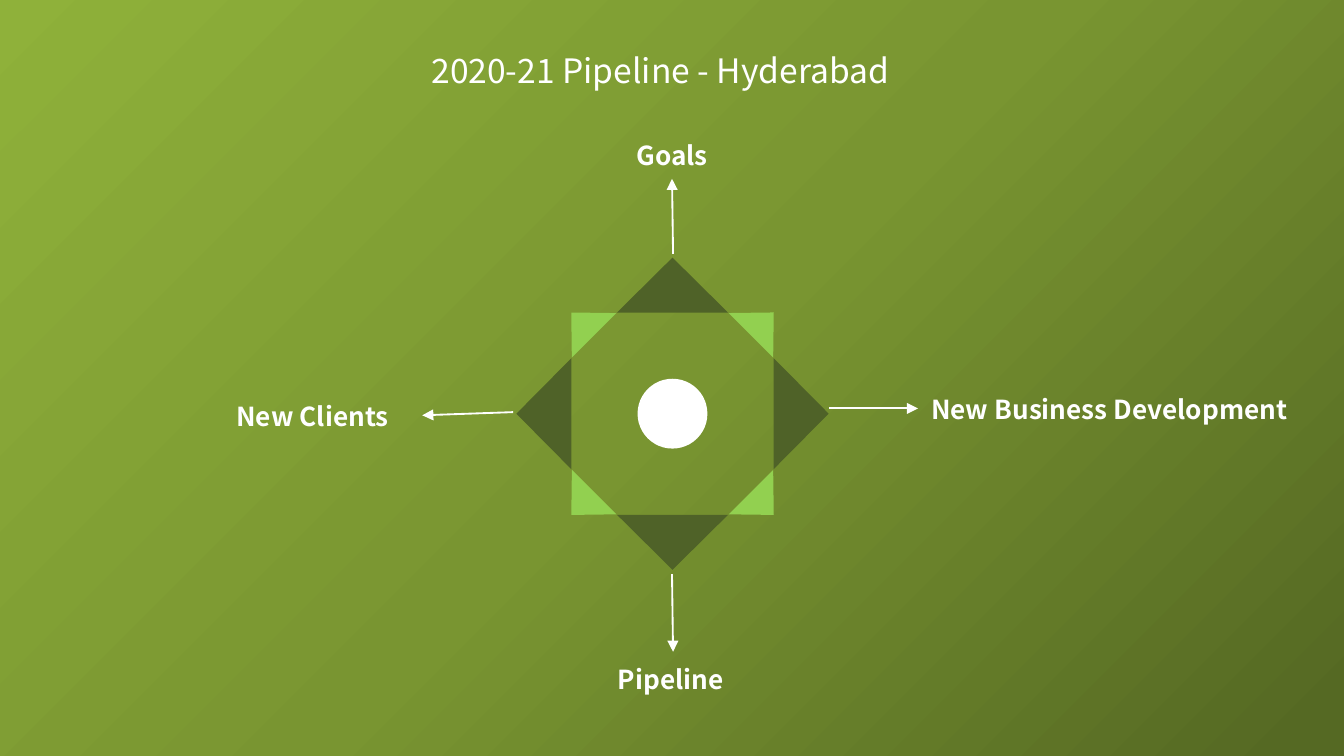
from math import cos, radians, sin

from lxml import etree
from pptx import Presentation
from pptx.dml.color import RGBColor
from pptx.enum import shapes, text
from pptx.oxml import parse_xml
from pptx.oxml.ns import qn
from pptx.util import Cm, Pt

THEME = {
    "font": "Noto Sans CJK JP", "title": 18, "label": 14, "line": 1,
    "white": "FFFFFF", "dark": "4F6228", "light": "92D050",
    "gradient": [(4, "556923"), (50, "799531"), (100, "8FB13A")],
}
ALIGN = text.PP_ALIGN
SLIDE = (25.4, 14.29)
BACKDROP = (0, 0, 25.96, 14.3)

# Lengths in cm; boxes are left, top, width, height
TITLE = ("2020-21 Pipeline - Hyderabad", (7.9, 0.81, 9.63, 1.02))
LABELS = [
    ("New Clients", (4.09, 7.44, 3.51, 0.86), ALIGN.RIGHT),
    ("New Business Development", (17.35, 7.32, 7.44, 0.86), ALIGN.LEFT),
    ("Goals", (10.95, 2.51, 3.51, 0.86), ALIGN.CENTER),
    ("Pipeline", (11.43, 12.42, 3.89, 0.86), ALIGN.LEFT),
]
ARROWS = [
    (12.72, 4.8, 12.7, 3.38),
    (9.7, 7.79, 7.98, 7.85),
    (15.67, 7.72, 17.35, 7.72),
    (12.7, 10.85, 12.72, 12.32),
]
CENTRE = (12.71, 7.82)
# colour, first angle, distance from centre, width, height
RINGS = [("dark", 0, 2.43, 2.1, 1.04), ("light", 45, 2.4, 1.19, 0.61)]
HUB = 1.32


def colour(name):
    return RGBColor.from_string(THEME[name])


def add_solid(sld, kind, centre, size, fill, rotation=0):
    """Add a borderless shape placed by its centre."""
    (x, y), (w, h) = centre, size
    sp = sld.shapes.add_shape(kind, Cm(x - w / 2), Cm(y - h / 2), Cm(w), Cm(h))
    sp.fill.solid()
    sp.fill.fore_color.rgb = colour(fill)
    sp.line.fill.background()
    sp.shadow.inherit = False
    sp.rotation = rotation


def write(sp, words, size, bold=False, align=ALIGN.LEFT):
    tf = sp.text_frame
    frame = {"word_wrap": True, "auto_size": text.MSO_AUTO_SIZE.NONE,
             "vertical_anchor": text.MSO_ANCHOR.TOP}
    for key, value in frame.items():
        setattr(tf, key, value)
    p = tf.paragraphs[0]
    p.alignment = align
    r = p.add_run()
    r.text = words
    look = {"name": THEME["font"], "size": Pt(THEME[size]), "bold": bold}
    for key, value in look.items():
        setattr(r.font, key, value)
    r.font.color.rgb = colour("white")


def add_backdrop(sld):
    """Add the gradient behind everything, spreading from the lower right."""
    sp = sld.shapes.add_shape(shapes.MSO_SHAPE.RECTANGLE, *map(Cm, BACKDROP))
    sp.line.fill.background()
    sp.shadow.inherit = False
    stops = "".join(
        f'<a:gs pos="{pos * 1000}"><a:srgbClr val="{rgb}"/></a:gs>'
        for pos, rgb in THEME["gradient"])
    grad = parse_xml(
        '<a:gradFill xmlns:a="http://schemas.openxmlformats.org/drawingml/2006/main"'
        f' rotWithShape="1"><a:gsLst>{stops}</a:gsLst><a:path path="circle">'
        '<a:fillToRect l="100000" t="100000"/></a:path>'
        '<a:tileRect r="-100000" b="-100000"/></a:gradFill>')
    sp._element.spPr.find(qn("a:prstGeom")).addnext(grad)
    sld.shapes._spTree.insert(2, sp._element)


def add_arrow(sld, ends):
    line = sld.shapes.add_connector(shapes.MSO_CONNECTOR.STRAIGHT, *map(Cm, ends))
    line.line.color.rgb = colour("white")
    line.line.width = Pt(THEME["line"])
    etree.SubElement(line.line._get_or_add_ln(), qn("a:tailEnd"), type="triangle")
    etree.SubElement(line._element.spPr, qn("a:effectLst"))


def main():
    prs = Presentation()
    prs.slide_width, prs.slide_height = map(Cm, SLIDE)
    sld = prs.slides.add_slide(prs.slide_layouts[5])
    add_backdrop(sld)

    words, box = TITLE
    title = sld.shapes.title
    for key, value in zip(("left", "top", "width", "height"), box):
        setattr(title, key, Cm(value))
    write(title, words, "title")

    for words, box, align in LABELS:
        write(sld.shapes.add_textbox(*map(Cm, box)), words, "label", True, align)

    for fill, first, reach, *size in RINGS:
        for angle in range(first, first + 360, 90):
            turn = radians(angle)
            centre = (CENTRE[0] + reach * sin(turn), CENTRE[1] - reach * cos(turn))
            add_solid(sld, shapes.MSO_SHAPE.ISOSCELES_TRIANGLE, centre, size, fill, angle)

    for ends in ARROWS:
        add_arrow(sld, ends)
    add_solid(sld, shapes.MSO_SHAPE.OVAL, CENTRE, (HUB, HUB), "white")
    prs.save("out.pptx")


if __name__ == "__main__":
    main()
